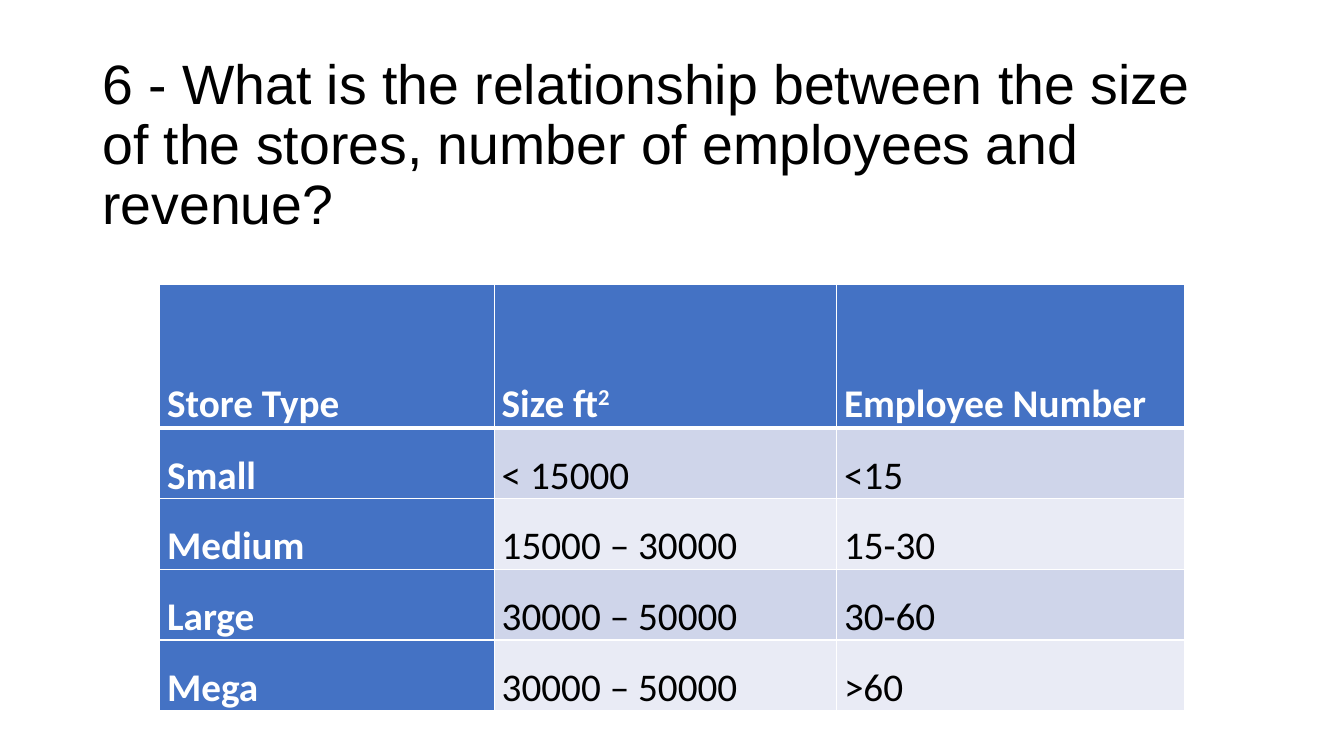
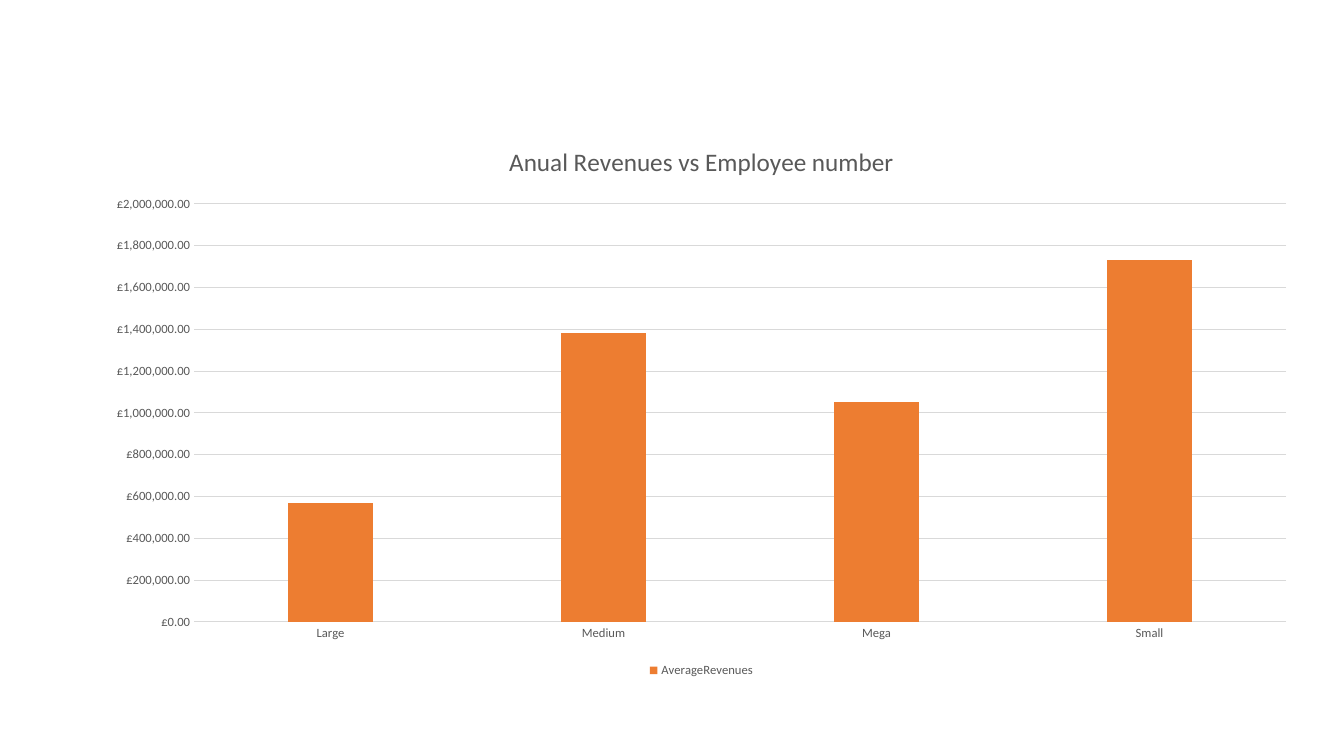
from lxml import etree
from pptx import Presentation
from pptx.chart.data import CategoryChartData
from pptx.dml.color import RGBColor
from pptx.enum.chart import XL_CHART_TYPE, XL_LEGEND_POSITION, XL_TICK_MARK
from pptx.enum.text import MSO_ANCHOR, PP_ALIGN
from pptx.oxml.ns import qn
from pptx.util import Pt

COLUMNS = XL_CHART_TYPE.COLUMN_CLUSTERED
BELOW = XL_LEGEND_POSITION.BOTTOM
NO_TICKS = XL_TICK_MARK.NONE
MIDDLE, BOTTOM = MSO_ANCHOR.MIDDLE, MSO_ANCHOR.BOTTOM
LEFT, JUSTIFY = PP_ALIGN.LEFT, PP_ALIGN.JUSTIFY

BLACK, WHITE = "000000", "FFFFFF"
BLUE, ORANGE = "4472C4", "ED7D31"
BANDS = ["CFD5EA", "E9EBF5"]
GREY, PALE_GREY = "595959", "D9D9D9"
HEADING_FONT, BODY_FONT = "Arial", "Calibri"


def rgb(color):
    """Turn a hex string into a colour."""
    return RGBColor.from_string(color)


def write(frame, text, size, color=BLACK, font=BODY_FONT, bold=False,
          align=LEFT, spacing=None):
    """Fill a text frame with one paragraph; what follows ^ is superscript."""
    paragraph = frame.paragraphs[0]
    paragraph.alignment = align
    paragraph.line_spacing = spacing
    for level, part in enumerate(text.split("^")):
        run = paragraph.add_run()
        run.text = part
        run.font.size = Pt(size)
        run.font.name = font
        run.font.bold = bold
        run.font.color.rgb = rgb(color)
        if level:
            run.font._element.set("baseline", "30000")


deck = Presentation()
deck.slide_width, deck.slide_height = Pt(960), Pt(540)
blank = deck.slide_layouts[6]

# Slide 1: question and store table
question_slide = deck.slides.add_slide(blank)
question = question_slide.shapes.add_textbox(
    Pt(66), Pt(34.5), Pt(828), Pt(140.5)).text_frame
question.word_wrap = True
question.vertical_anchor = MIDDLE
write(question, "6 - What is the relationship between the size of the stores, "
      "number of employees and revenue?", 39.6, font=HEADING_FONT, spacing=0.9)

STORES = [
    ["Store Type", "Size ft^2", "Employee Number"],
    ["Small", "< 15000", "<15"],
    ["Medium", "15000 – 30000", "15-30"],
    ["Large", "30000 – 50000", "30-60"],
    ["Mega", "30000 – 50000", ">60"],
]
COLUMN_WIDTHS = [239, 244.5, 248.5]
HEADER_HEIGHT, ROW_HEIGHT = 102.5, 48.25

stores = question_slide.shapes.add_table(
    len(STORES), len(COLUMN_WIDTHS), Pt(114), Pt(203.25),
    Pt(sum(COLUMN_WIDTHS)), Pt(HEADER_HEIGHT + 4 * ROW_HEIGHT)).table
stores.first_col = True
for column, width in zip(stores.columns, COLUMN_WIDTHS):
    column.width = Pt(width)

for r, store in enumerate(STORES):
    stores.rows[r].height = Pt(ROW_HEIGHT if r else HEADER_HEIGHT)
    for c, text in enumerate(store):
        cell = stores.cell(r, c)
        is_heading = r == 0 or c == 0
        cell.vertical_anchor = BOTTOM
        cell.margin_left = cell.margin_right = Pt(5.4)
        cell.margin_top = cell.margin_bottom = 0
        write(cell.text_frame, text, 28, WHITE if is_heading else BLACK,
              bold=is_heading, align=JUSTIFY, spacing=1.5)
        edges = {"L": 1, "R": 1, "T": 3 if r == 1 else 1, "B": 1 if r else 3}
        for side, weight in edges.items():
            edge = etree.SubElement(cell._tc.get_or_add_tcPr(),
                                    qn("a:ln" + side), w=str(Pt(weight)))
            ink = etree.SubElement(edge, qn("a:solidFill"))
            etree.SubElement(ink, qn("a:srgbClr"), val=WHITE)
        cell.fill.solid()
        cell.fill.fore_color.rgb = rgb(BLUE if is_heading else BANDS[(r - 1) % 2])

# Slide 2: revenue chart
revenue_slide = deck.slides.add_slide(blank)
revenues = CategoryChartData(number_format='"£"#,##0.00')
revenues.categories = ["Large", "Medium", "Mega", "Small"]
revenues.add_series("AverageRevenues", [570000, 1380000, 1050000, 1730000])
chart = revenue_slide.shapes.add_chart(
    COLUMNS, Pt(66), Pt(88), Pt(870), Pt(399), revenues).chart
chart.font.name = BODY_FONT
chart.font.size = Pt(10)
chart.font.color.rgb = rgb(BLACK)
write(chart.chart_title.text_frame, "Anual Revenues vs Employee number", 18, GREY)
chart.chart_title.include_in_layout = False

chart.has_legend = True
chart.legend.position = BELOW
chart.legend.include_in_layout = False

stores_axis, revenue_axis = chart.category_axis, chart.value_axis
for part in (stores_axis.tick_labels, revenue_axis.tick_labels, chart.legend):
    part.font.name = BODY_FONT
    part.font.size = Pt(9)
    part.font.color.rgb = rgb(GREY)
for axis in (stores_axis, revenue_axis):
    axis.major_tick_mark = axis.minor_tick_mark = NO_TICKS
for line in (stores_axis.format.line, revenue_axis.major_gridlines.format.line):
    line.width = Pt(0.75)
    line.color.rgb = rgb(PALE_GREY)
revenue_axis.format.line.fill.background()
revenue_axis.tick_labels.number_format = '"£"#,##0.00'
revenue_axis.tick_labels.number_format_is_linked = False

bars = chart.plots[0]
bars.gap_width, bars.overlap = 219, -27
bars.vary_by_categories = False
bar_fill = bars.series[0].format.fill
bar_fill.solid()
bar_fill.fore_color.rgb = rgb(ORANGE)

deck.save("out.pptx")
